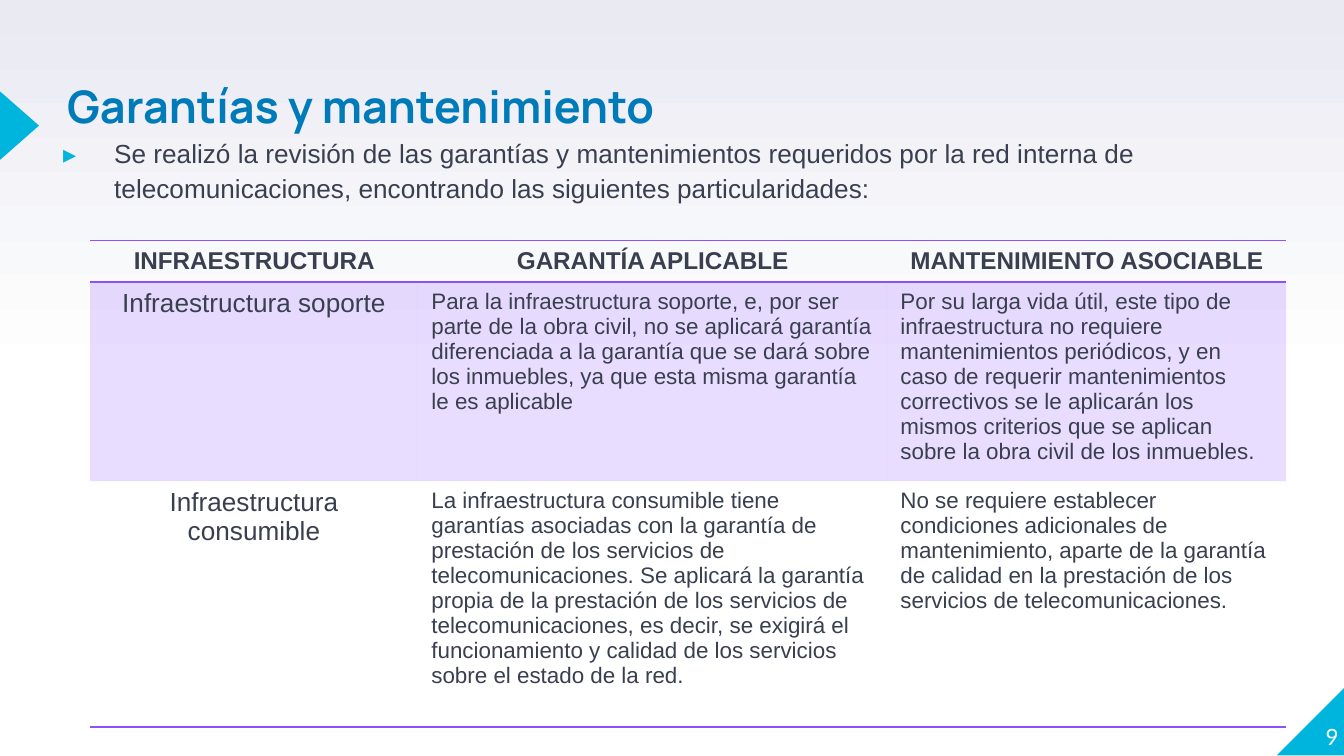
from copy import deepcopy
from dataclasses import dataclass

from lxml import etree
from pptx import Presentation
from pptx.dml.color import RGBColor
from pptx.enum import shapes, text
from pptx.oxml.ns import qn
from pptx.util import Inches, Pt

MID, RIGHT = text.PP_ALIGN.CENTER, text.PP_ALIGN.RIGHT


@dataclass(frozen=True)
class Theme:
    # Colours
    cyan: str = "00B5DD"
    blue: str = "007BB9"
    ink: str = "3A3F50"
    violet: str = "8C50FF"
    white: str = "FFFFFF"
    haze: str = "E9EAF2"
    # Fonts and sizes
    head: str = "Manrope"
    body: str = "Arial"
    num: str = "Lato"
    big: int = 24
    lead: int = 14
    label: int = 13
    small: int = 12


T = Theme()

HEADS = ["INFRAESTRUCTURA", "GARANTÍA APLICABLE", "MANTENIMIENTO ASOCIABLE"]
ROWS = [
    ["Infraestructura soporte",
     "Para la infraestructura soporte, e, por ser parte de la obra civil, no se "
     "aplicará garantía diferenciada a la garantía que se dará sobre los "
     "inmuebles, ya que esta misma garantía le es aplicable",
     "Por su larga vida útil, este tipo de infraestructura no requiere "
     "mantenimientos periódicos, y en caso de requerir mantenimientos correctivos "
     "se le aplicarán los mismos criterios que se aplican sobre la obra civil de "
     "los inmuebles."],
    ["Infraestructura consumible",
     "La infraestructura consumible tiene garantías asociadas con la garantía de "
     "prestación de los servicios de telecomunicaciones. Se aplicará la garantía "
     "propia de la prestación de los servicios de telecomunicaciones, es decir, "
     "se exigirá el funcionamiento y calidad de los servicios sobre el estado de "
     "la red.",
     "No se requiere establecer condiciones adicionales de mantenimiento, aparte "
     "de la garantía de calidad en la prestación de los servicios de "
     "telecomunicaciones."],
]


def rgb(color):
    return RGBColor.from_string(color)


def write(frame, words, size, color=T.ink, font=T.body, bold=False, align=None):
    para = frame.paragraphs[0]
    para.alignment = align
    run = para.add_run()
    run.text = words
    run.font.size, run.font.name, run.font.bold = Pt(size), font, bold
    run.font.color.rgb = rgb(color)
    return para


def setup(frame, anchor=text.MSO_ANCHOR.TOP):
    frame.word_wrap = True
    frame.auto_size = text.MSO_AUTO_SIZE.NONE
    frame.vertical_anchor = anchor
    frame.margin_left = frame.margin_right = 0
    frame.margin_top = frame.margin_bottom = 0
    return frame


def box(slide, x, y, w, h, **opts):
    area = slide.shapes.add_textbox(Inches(x), Inches(y), Inches(w), Inches(h))
    return setup(area.text_frame, **opts)


def wedge(slide, kind, x, y, w, h):
    shape = slide.shapes.add_shape(kind, Inches(x), Inches(y), Inches(w), Inches(h))
    shape.shadow.inherit = False
    shape.fill.solid()
    shape.fill.fore_color.rgb = rgb(T.cyan)
    shape.line.fill.background()
    return shape


def paint(slide):
    # White lower half, fading to haze at the top
    fill = slide.background.fill
    fill.gradient()
    fill.gradient_angle = 90
    stops = slide.element.find(".//" + qn("a:gsLst"))
    stops.insert(1, deepcopy(stops[0]))
    for stop, pos, color in zip(fill.gradient_stops, (0, 0.5, 1),
                                (T.white, T.white, T.haze)):
        stop.position = pos
        stop.color.rgb = rgb(color)


def bullet(para, indent, hang):
    props = para._p.get_or_add_pPr()
    props.set("marL", str(Inches(indent)))
    props.set("indent", str(-Inches(hang)))
    color = etree.SubElement(props, qn("a:buClr"))
    etree.SubElement(color, qn("a:srgbClr"), val=T.cyan)
    etree.SubElement(props, qn("a:buFont"), typeface=T.num)
    etree.SubElement(props, qn("a:buChar"), char="▸")


def border(cell, sides):
    # Border lines come before the fill
    props = cell._tc.get_or_add_tcPr()
    for i, side in enumerate(sides):
        line = etree.Element(qn("a:ln" + side), w=str(Pt(1)))
        fill = etree.SubElement(line, qn("a:solidFill"))
        etree.SubElement(fill, qn("a:srgbClr"), val=T.violet)
        props.insert(i, line)


def tint(cell, percent):
    cell.fill.solid()
    cell.fill.fore_color.rgb = rgb(T.violet)
    color = cell._tc.tcPr.find(".//" + qn("a:srgbClr"))
    etree.SubElement(color, qn("a:alpha"), val=str(percent * 1000))


def grid(slide):
    cols, highs = (2.44, 3.49, 2.97), (0.31, 1.48, 1.83)
    frame = slide.shapes.add_table(len(highs), len(cols), Inches(0.67), Inches(1.79),
                                   Inches(sum(cols)), Inches(sum(highs)))
    table = frame.table
    table.first_row = table.horz_banding = False
    # Plain style without lines
    style = table._tbl.tblPr.find(qn("a:tableStyleId"))
    style.text = "{2D5ABB26-0587-4C30-8999-92F81FD0307C}"
    for col, wide in zip(table.columns, cols):
        col.width = Inches(wide)
    for row, high in zip(table.rows, highs):
        row.height = Inches(high)

    edges = ("TB", "", "B")
    for r, words in enumerate([HEADS] + ROWS):
        for c, word in enumerate(words):
            cell = table.cell(r, c)
            head = r == 0
            size = T.label if head else T.small if c else T.lead
            write(cell.text_frame, word, size, bold=head,
                  align=MID if head or c == 0 else None)
            if r == 1:
                tint(cell, 20)
            else:
                cell.fill.background()
            border(cell, edges[r])


def main():
    deck = Presentation()
    # Widescreen, 16 to 9
    deck.slide_width = Inches(10)
    deck.slide_height = Inches(10) * 9 // 16
    slide = deck.slides.add_slide(deck.slide_layouts[5])
    paint(slide)

    # Corner and side wedges
    kinds = shapes.MSO_SHAPE
    corner = wedge(slide, kinds.RIGHT_TRIANGLE, 9.5, 5.11, 0.51, 0.51)
    corner.element.spPr.find(qn("a:xfrm")).set("flipH", "1")
    wedge(slide, kinds.ISOSCELES_TRIANGLE, -0.11, 0.79, 0.51, 0.29).rotation = 90

    # Title
    title = slide.shapes.title
    title.left, title.top = Inches(0.5), Inches(0.66)
    title.width, title.height = Inches(8.2), Inches(0.5)
    para = write(setup(title.text_frame), "Garantías y mantenimiento", T.big,
                 T.blue, T.head, True, text.PP_ALIGN.LEFT)
    para.line_spacing = 0.8

    # Lead paragraph
    para = write(box(slide, 0.35, 1, 8.58, 0.71),
                 "Se realizó la revisión de las garantías y mantenimientos requeridos "
                 "por la red interna de telecomunicaciones, encontrando las siguientes "
                 "particularidades:", T.lead)
    para.line_spacing = 1.1
    para.space_before = Pt(6)
    bullet(para, 0.5, 0.38)

    # Page number
    write(box(slide, 9.46, 5.07, 0.5, 0.51, anchor=text.MSO_ANCHOR.BOTTOM), "9",
          T.small, T.white, T.num, align=RIGHT)

    grid(slide)
    deck.save("out.pptx")


if __name__ == "__main__":
    main()
